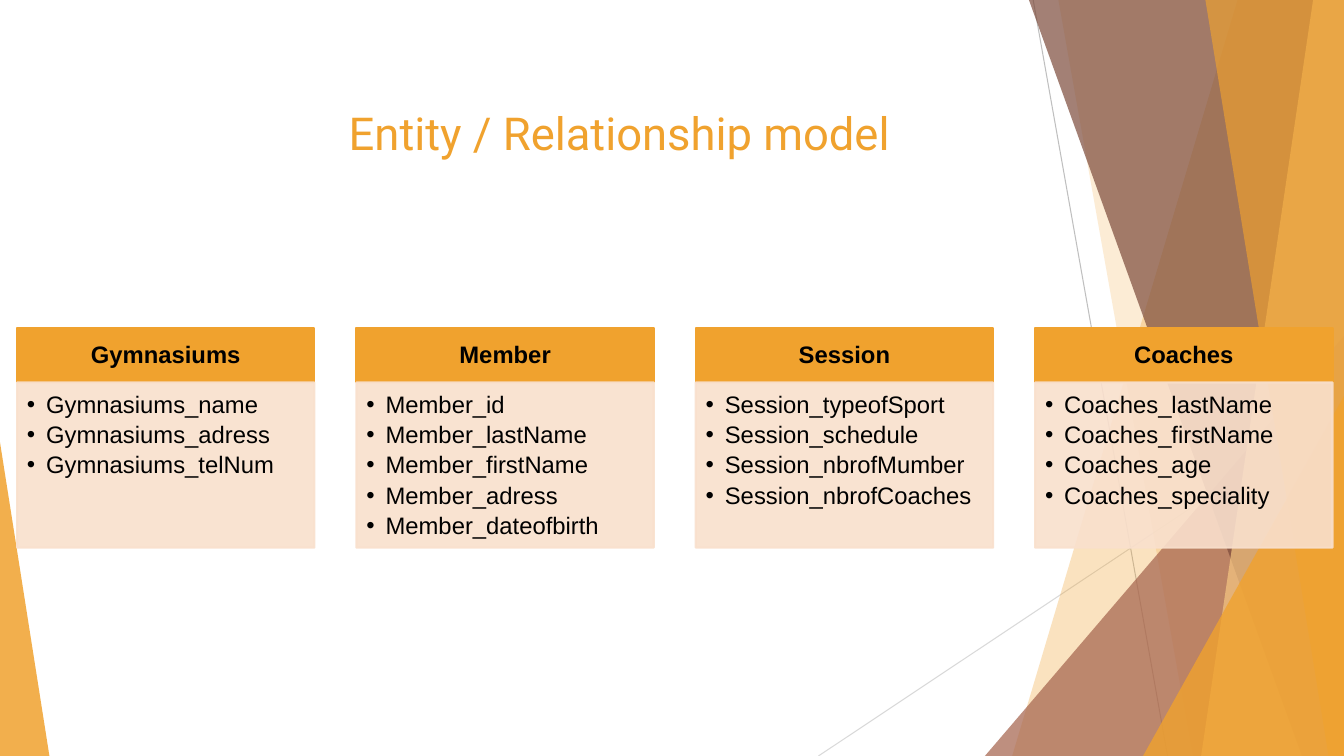
"""Build the entity / relationship model slide."""
import dataclasses

import lxml.etree
import pptx
import pptx.dml.color
import pptx.enum.shapes
import pptx.enum.text
import pptx.oxml.ns
import pptx.util

Pt = pptx.util.Pt
qn = pptx.oxml.ns.qn


@dataclasses.dataclass(frozen=True)
class Theme:
    """Colours, fonts and type sizes of the slide."""
    amber: str = "F0A22E"
    pale_amber: str = "F6C782"
    rust: str = "A5644E"
    brown: str = "7C4B3B"
    peach: str = "F9E0CD"
    grey: str = "BFBFBF"
    light_grey: str = "D9D9D9"
    ink: str = "000000"
    title_font: str = "Roboto"
    body_font: str = "Arial"
    title_size: float = 32.4
    body_size: float = 17


THEME = Theme()
WIDTH, HEIGHT = 960, 540
CARD_LEFT, CARD_TOP, CARD_WIDTH, CARD_PITCH = 12.2, 234.6, 212.4, 242.4
HEADER_HEIGHT, BODY_HEIGHT = 38.6, 118
BULLET_INDENT = 13.7

ENTITIES = {
    "Gymnasiums": ("name", "adress", "telNum"),
    "Member": ("id", "lastName", "firstName", "adress", "dateofbirth"),
    "Session": ("typeofSport", "schedule", "nbrofMumber", "nbrofCoaches"),
    "Coaches": ("lastName", "firstName", "age", "speciality"),
}


def rgb(colour):
    """Return a colour object for a hex string."""
    return pptx.dml.color.RGBColor.from_string(colour)


def paint(shape, colour, opacity=100, line_width=0):
    """Fill and outline a shape in one colour with a given opacity."""
    shape.shadow.inherit = False
    shape.fill.solid()
    shape.fill.fore_color.rgb = rgb(colour)
    if line_width:
        shape.line.width = Pt(line_width)
        shape.line.color.rgb = rgb(colour)
    else:
        shape.line.fill.background()
    if opacity < 100:
        for element in list(shape._element.spPr.iter(qn("a:srgbClr"))):
            lxml.etree.SubElement(element, qn("a:alpha"), val=str(opacity * 1000))


def set_font(paragraph, name, size, colour, bold=False):
    """Set the font shared by all runs of a paragraph."""
    paragraph.font.name = name
    paragraph.font.size = Pt(size)
    paragraph.font.bold = bold
    paragraph.font.color.rgb = rgb(colour)


def set_frame(frame, anchor, left, top, right, bottom):
    """Set wrapping, anchor and insets of a text frame."""
    frame.word_wrap = True
    frame.vertical_anchor = anchor
    frame.margin_left, frame.margin_top = Pt(left), Pt(top)
    frame.margin_right, frame.margin_bottom = Pt(right), Pt(bottom)


def add_bullet(paragraph):
    """Give a paragraph a hanging round bullet."""
    properties = paragraph._p.get_or_add_pPr()
    properties.set("marL", str(Pt(BULLET_INDENT)))
    properties.set("indent", str(-Pt(BULLET_INDENT)))
    lxml.etree.SubElement(properties, qn("a:buFont"), typeface=THEME.body_font)
    lxml.etree.SubElement(properties, qn("a:buChar"), char="•")


def add_thin_line(slide, start, end, colour):
    """Draw a thin straight line."""
    line = slide.shapes.add_connector(
        pptx.enum.shapes.MSO_CONNECTOR.STRAIGHT, *map(Pt, start + end))
    line.line.width = Pt(0.75)
    line.line.color.rgb = rgb(colour)
    lxml.etree.SubElement(line._element.spPr, qn("a:effectLst"))


def add_ribbon(slide, top_x, bottom_x, colour, opacity):
    """Draw a full-height band from a slanted edge to the right slide edge."""
    builder = slide.shapes.build_freeform(Pt(top_x), 0)
    corners = [(WIDTH, 0), (WIDTH, HEIGHT), (bottom_x, HEIGHT)]
    builder.add_line_segments([(Pt(x), Pt(y)) for x, y in corners])
    paint(builder.convert_to_shape(), colour, opacity)


def add_wedge(slide, left, top, width, apex, colour, opacity):
    """Draw a triangle that stands on the bottom slide edge."""
    wedge = slide.shapes.add_shape(
        pptx.enum.shapes.MSO_SHAPE.ISOSCELES_TRIANGLE,
        Pt(left), Pt(top), Pt(width), Pt(HEIGHT - top))
    wedge.adjustments[0] = apex
    paint(wedge, colour, opacity)


def add_backdrop(slide):
    """Draw the lines, ribbons and wedges behind the content."""
    add_thin_line(slide, (738, 0), (834, HEIGHT), THEME.grey)
    add_thin_line(slide, (WIDTH, 290), (584.6, HEIGHT), THEME.light_grey)
    add_ribbon(slide, 884, 723, THEME.amber, 30)
    add_ribbon(slide, 756, 852, THEME.amber, 20)
    add_wedge(slide, 703.5, 240, 256.5, 1, THEME.rust, 72)
    add_ribbon(slide, 735, 930, THEME.brown, 70)
    add_ribbon(slide, 938, 858, THEME.pale_amber, 70)
    add_ribbon(slide, 861, 949, THEME.amber, 65)
    add_wedge(slide, 816.5, 283, 143.5, 1, THEME.amber, 80)
    add_wedge(slide, 0, 316, 35.3, 0, THEME.amber, 85)


def add_title(slide, text):
    """Add the slide title."""
    title = slide.shapes.add_textbox(Pt(242), Pt(71.3), Pt(677), Pt(32.4))
    set_frame(title.text_frame, pptx.enum.text.MSO_ANCHOR.TOP, 7.2, 3.6, 7.2, 3.6)
    paragraph = title.text_frame.paragraphs[0]
    paragraph.text = text
    set_font(paragraph, THEME.title_font, THEME.title_size, THEME.amber)


def add_panel(slide, left, top, height, colour, opacity=100):
    """Add one rectangle of an entity card."""
    panel = slide.shapes.add_shape(
        pptx.enum.shapes.MSO_SHAPE.RECTANGLE,
        Pt(left), Pt(top), Pt(CARD_WIDTH), Pt(height))
    paint(panel, colour, opacity, line_width=1.5)
    return panel.text_frame


def add_entity(slide, left, entity, attributes):
    """Add an entity card: a header and a bulleted list of attributes."""
    header = add_panel(slide, left, CARD_TOP, HEADER_HEIGHT, THEME.amber)
    set_frame(header, pptx.enum.text.MSO_ANCHOR.MIDDLE, 9.4, 5.8, 9.4, 5.8)
    paragraph = header.paragraphs[0]
    paragraph.text = entity
    paragraph.alignment = pptx.enum.text.PP_ALIGN.CENTER
    paragraph.line_spacing = 0.9
    set_font(paragraph, THEME.body_font, THEME.body_size, THEME.ink, bold=True)

    body = add_panel(slide, left, CARD_TOP + HEADER_HEIGHT, BODY_HEIGHT, THEME.peach, 90)
    set_frame(body, pptx.enum.text.MSO_ANCHOR.TOP, 7.2, 7.2, 9.4, 10.8)
    body.text = "\n".join(f"{entity}_{attribute}" for attribute in attributes)
    for paragraph in body.paragraphs:
        paragraph.alignment = pptx.enum.text.PP_ALIGN.LEFT
        paragraph.line_spacing = 0.9
        paragraph.space_after = Pt(3.3)
        add_bullet(paragraph)
        set_font(paragraph, THEME.body_font, THEME.body_size, THEME.ink)


def main():
    """Build and save the slide."""
    presentation = pptx.Presentation()
    presentation.slide_width, presentation.slide_height = Pt(WIDTH), Pt(HEIGHT)
    slide = presentation.slides.add_slide(presentation.slide_layouts[6])
    add_backdrop(slide)
    add_title(slide, "Entity / Relationship model")
    for column, (entity, attributes) in enumerate(ENTITIES.items()):
        add_entity(slide, CARD_LEFT + column * CARD_PITCH, entity, attributes)
    presentation.save("out.pptx")


main()
